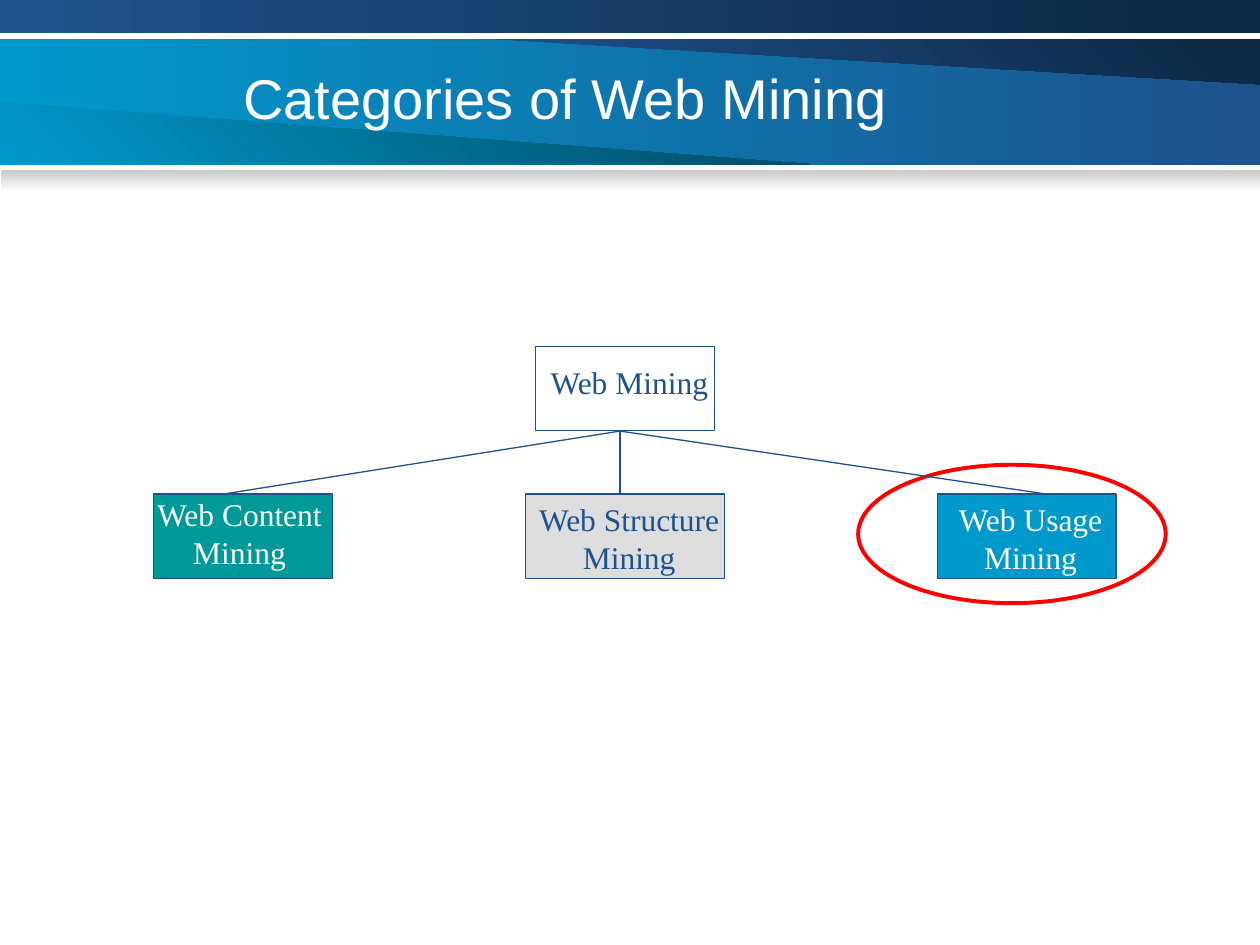
from lxml import etree
from pptx import Presentation
from pptx.dml.color import RGBColor
from pptx.enum.shapes import MSO_CONNECTOR, MSO_SHAPE
from pptx.enum.text import MSO_ANCHOR, MSO_AUTO_SIZE, PP_ALIGN
from pptx.oxml.ns import qn
from pptx.util import Cm, Pt

RECTANGLE = MSO_SHAPE.RECTANGLE
ELLIPSE = MSO_SHAPE.OVAL
STRAIGHT = MSO_CONNECTOR.STRAIGHT
MIDDLE = MSO_ANCHOR.MIDDLE
NO_AUTOSIZE = MSO_AUTO_SIZE.NONE
FIT_SHAPE = MSO_AUTO_SIZE.SHAPE_TO_FIT_TEXT
LEFT = PP_ALIGN.LEFT
CENTER = PP_ALIGN.CENTER

NAVY = "1D528D"
DARK_NAVY = "0D2641"
SKY = "0099CC"
WHITE = "FFFFFF"
TITLE_ONLY_LAYOUT = 5

TITLE_FONT = {"name": "Arial", "size": Pt(32), "bold": False}
LABEL_FONT = {"name": "Times New Roman", "size": Pt(18)}
TITLE_FRAME = {"vertical_anchor": MIDDLE, "auto_size": NO_AUTOSIZE, "word_wrap": True}
LABEL_FRAME = {"auto_size": FIT_SHAPE, "word_wrap": False}

CHILD_TOP = 9.96
BOX_WIDTH = 3.6
BOX_HEIGHT = 1.7
BRANCH_START = (12.5, 8.69)
BRANCH_ENDS = [(12.5, CHILD_TOP), (4.5, CHILD_TOP), (21.1, CHILD_TOP)]

BANDS = [
    ((0, 0, 25.4, 0.66), NAVY, DARK_NAVY, 0),
    ((0.03, 3.43, 25.37, 0.43), "CACACA", WHITE, 270),
    ((0, 0.79, 25.4, 2.54), SKY, NAVY, 0),
]
WEDGES = [
    ([(24.94, 0.79), (9.98, 0.79), (25.4, 1.7), (25.4, 0.79)], NAVY, DARK_NAVY),
    ([(0.48, 3.31), (16.33, 3.31), (0, 2.06), (0, 3.31)], SKY, "00475E"),
]
CATEGORIES = [
    ("Web Mining", 10.8, 6.98, BOX_WIDTH, None, NAVY, (10.85, 7.19, 3.73, 1.02), LEFT),
    ("Web Structure\nMining", 10.59, CHILD_TOP, 4.01, "DDDDDD", NAVY,
     (10.59, 9.96, 4.19, 1.78), CENTER),
    ("Web Content\nMining", 3.1, CHILD_TOP, BOX_WIDTH, "009999", WHITE,
     (2.9, 9.86, 3.86, 1.78), CENTER),
    ("Web Usage\nMining", 18.9, CHILD_TOP, BOX_WIDTH, SKY, WHITE,
     (19.05, 9.96, 3.45, 1.78), CENTER),
]


def color(value):
    return RGBColor.from_string(value)


def lengths(values):
    return [Cm(value) for value in values]


def apply_format(target, values):
    for name, value in values.items():
        setattr(target, name, value)


def fill_gradient(shape, start, end, angle):
    shape.shadow.inherit = False
    shape.line.fill.background()
    shape.fill.gradient()
    shape.fill.gradient_angle = angle
    for stop, value in zip(shape.fill.gradient_stops, (start, end)):
        stop.color.rgb = color(value)


def add_band(slide, box, start, end, angle):
    shape = slide.shapes.add_shape(RECTANGLE, *lengths(box))
    fill_gradient(shape, start, end, angle)


def add_wedge(slide, points, start, end):
    corners = [lengths(point) for point in points]
    builder = slide.shapes.build_freeform(*corners[0])
    builder.add_line_segments(corners[1:], close=True)
    fill_gradient(builder.convert_to_shape(), start, end, 45)


def add_outlined_shape(slide, kind, box, fill, line, width):
    shape = slide.shapes.add_shape(kind, *lengths(box))
    shape.shadow.inherit = False
    if fill:
        shape.fill.solid()
        shape.fill.fore_color.rgb = color(fill)
    else:
        shape.fill.background()
    shape.line.color.rgb = color(line)
    shape.line.width = Pt(width)


def write_text(shape, text, frame_format, font_format, font_color, alignment):
    frame = shape.text_frame
    frame.text = text
    apply_format(frame, frame_format)
    for paragraph in frame.paragraphs:
        paragraph.alignment = alignment
        apply_format(paragraph.font, font_format)
        paragraph.font.color.rgb = color(font_color)


def add_title(slide, text, box):
    title = slide.shapes.title
    for name, value in zip(("left", "top", "width", "height"), lengths(box)):
        setattr(title, name, value)
    write_text(title, text, TITLE_FRAME, TITLE_FONT, WHITE, LEFT)
    title.element.getparent().append(title.element)


def add_branch(slide, start, end):
    connector = slide.shapes.add_connector(STRAIGHT, *lengths(start + end))
    connector.line.color.rgb = color(NAVY)
    connector.line.width = Pt(0.75)
    etree.SubElement(connector.element.spPr, qn("a:effectLst"))


def add_category(slide, text, left, top, width, fill, font_color, label_box, alignment):
    box = (left, top, width, BOX_HEIGHT)
    add_outlined_shape(slide, RECTANGLE, box, fill, NAVY, 0.75)
    label = slide.shapes.add_textbox(*lengths(label_box))
    write_text(label, text, LABEL_FRAME, LABEL_FONT, font_color, alignment)


def main():
    presentation = Presentation()
    presentation.slide_width = Cm(25.4)
    presentation.slide_height = Cm(19.05)
    slide = presentation.slides.add_slide(presentation.slide_layouts[TITLE_ONLY_LAYOUT])
    for band in BANDS:
        add_band(slide, *band)
    for wedge in WEDGES:
        add_wedge(slide, *wedge)
    add_title(slide, "Categories of Web Mining", (4.65, 0.76, 18.42, 2.41))
    add_outlined_shape(slide, ELLIPSE, (17.3, 9.37, 6.2, 2.79), None, "FF0000", 2.25)
    for end in BRANCH_ENDS:
        add_branch(slide, BRANCH_START, end)
    for category in CATEGORIES:
        add_category(slide, *category)
    presentation.save("out.pptx")


if __name__ == "__main__":
    main()
